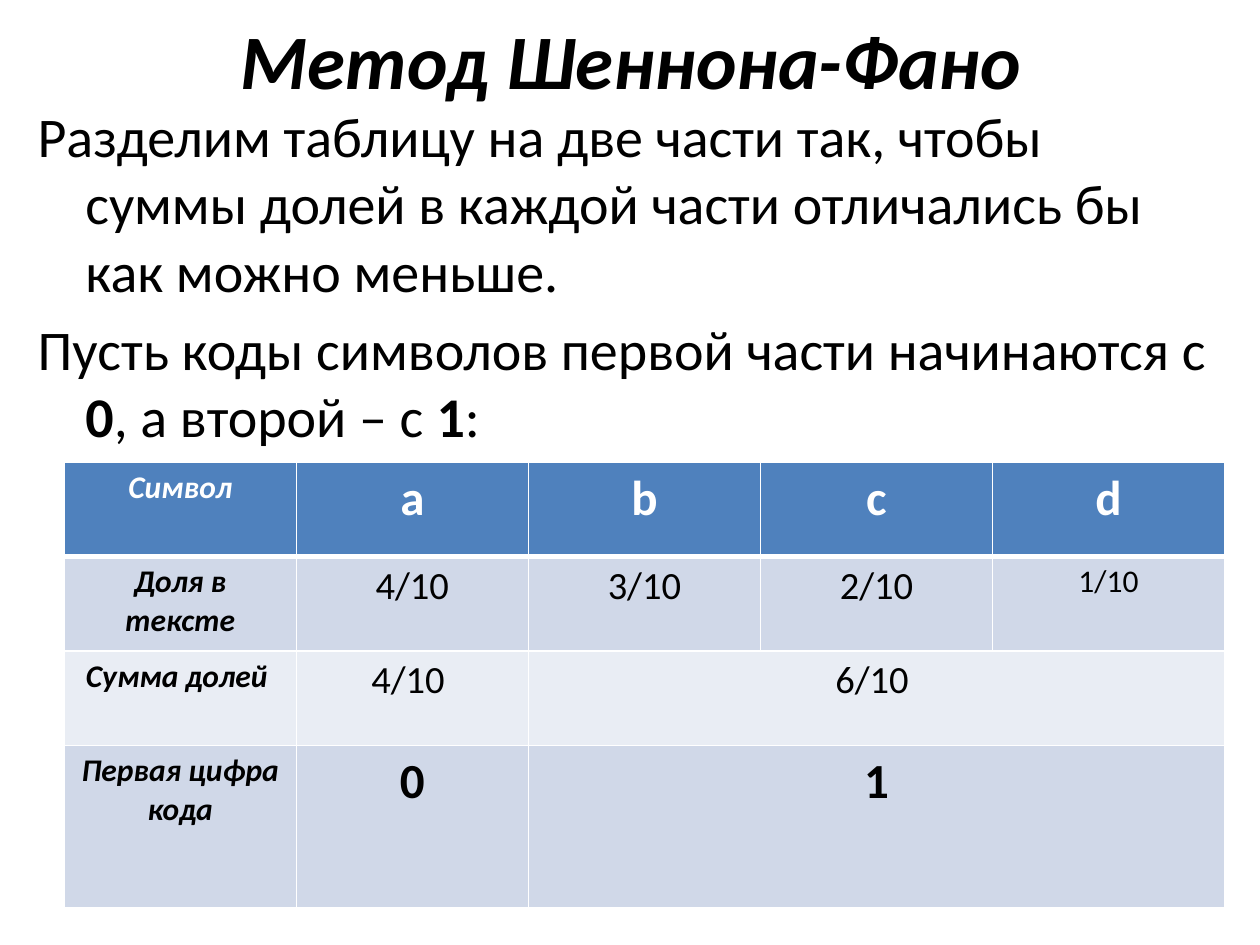
from dataclasses import dataclass
from typing import Optional

from lxml import etree
from pptx import Presentation
from pptx.dml.color import RGBColor
from pptx.oxml.ns import qn
from pptx.util import Inches, Pt
from pptx.enum import text

W, H = 10, 7.5
FONT = "Calibri"
BLACK, WHITE = "000000", "FFFFFF"
BLUE, MID, PALE = "4F81BD", "D0D8E8", "E9EDF4"


@dataclass(frozen=True)
class Run:
    words: str
    size: float
    bold: bool = False
    italic: bool = False
    color: str = BLACK


@dataclass(frozen=True)
class Box:
    left: float
    top: float
    width: float
    height: float

    def place(self) -> tuple:
        return (Inches(W * self.left), Inches(H * self.top),
                Inches(W * self.width), Inches(H * self.height))


@dataclass(frozen=True)
class Row:
    height: float
    fill: str
    cells: tuple[Run, ...]
    merge_from: Optional[int] = None
    bottom: float = 1


def rgb(value: str) -> RGBColor:
    return RGBColor.from_string(value)


def add_runs(p, runs: tuple[Run, ...]) -> None:
    for run in runs:
        r = p.add_run()
        r.text = run.words
        f = r.font
        f.name, f.size = FONT, Pt(run.size)
        f.bold, f.italic = run.bold, run.italic
        f.color.rgb = rgb(run.color)


def add_text(s, box: Box, paragraphs: tuple, align, anchor, hanging: float = 0) -> None:
    tf = s.shapes.add_textbox(*box.place()).text_frame
    tf.word_wrap = True
    tf.vertical_anchor = anchor
    for i, runs in enumerate(paragraphs):
        p = tf.add_paragraph() if i else tf.paragraphs[0]
        p.alignment = align
        if hanging:
            ppr = p._p.get_or_add_pPr()
            ppr.set("marL", str(Inches(hanging)))
            ppr.set("indent", str(-Inches(hanging)))
        if i:
            p.space_before = Pt(runs[0].size * 0.2)
        add_runs(p, runs)


def set_borders(cell, widths: dict[str, float]) -> None:
    tcpr = cell._tc.get_or_add_tcPr()
    for i, (side, width) in enumerate(widths.items()):
        ln = etree.Element(qn(f"a:ln{side}"), w=str(Pt(width)))
        fill = etree.SubElement(ln, qn("a:solidFill"))
        etree.SubElement(fill, qn("a:srgbClr"), val=WHITE)
        tcpr.insert(i, ln)


def add_grid(s, box: Box, rows: tuple[Row, ...], columns: int) -> None:
    table = s.shapes.add_table(len(rows), columns, *box.place()).table
    for column in table.columns:
        column.width = Inches(W * box.width / columns)
    top = 1
    for i, row in enumerate(rows):
        table.rows[i].height = Inches(row.height)
        for j in range(columns):
            cell = table.cell(i, j)
            cell.fill.solid()
            cell.fill.fore_color.rgb = rgb(row.fill)
            set_borders(cell, {"L": 1, "R": 1, "T": top, "B": row.bottom})
        if row.merge_from is not None:
            table.cell(i, row.merge_from).merge(table.cell(i, columns - 1))
        for j, run in enumerate(row.cells):
            p = table.cell(i, j).text_frame.paragraphs[0]
            p.alignment = text.PP_ALIGN.CENTER
            add_runs(p, (run,))
        top = row.bottom


def label(words: str, color: str = BLACK) -> Run:
    return Run(words, 18, True, True, color)


def main() -> None:
    prs = Presentation()
    prs.slide_width, prs.slide_height = Inches(W), Inches(H)
    s = prs.slides.add_slide(prs.slide_layouts[6])

    title = ((Run("Метод Шеннона-Фано", 44, True, True),),)
    body = (
        (Run("Разделим таблицу на две части так, чтобы суммы долей в каждой "
             "части отличались бы как можно меньше.", 32),),
        (Run("Пусть коды символов первой части начинаются с ", 32),
         Run("0", 32, True), Run(", а второй – с ", 32),
         Run("1", 32, True), Run(": ", 32)),
    )
    rows = (
        Row(0.75, BLUE, (label("Символ", WHITE),
                         *(Run(c, 28, True, color=WHITE) for c in "abcd")), bottom=3),
        Row(0.75, MID, (label("Доля в тексте"),
                        *(Run(f"{n}/10", 22) for n in (4, 3, 2)), Run("1/10", 18))),
        Row(0.75, PALE, (label("Сумма долей "), Run("4/10 ", 22), Run("6/10 ", 22)), 2),
        Row(1.29, MID, (label("Первая цифра кода"), Run("0", 28, True),
                        Run("1", 28, True)), 2),
    )

    add_text(s, Box(0.051, 0, 0.9, 0.124), title,
             text.PP_ALIGN.CENTER, text.MSO_ANCHOR.MIDDLE)
    add_text(s, Box(0.02, 0.101, 0.953, 0.861), body,
             text.PP_ALIGN.LEFT, text.MSO_ANCHOR.TOP, hanging=0.38)
    add_grid(s, Box(0.051, 0.489, 0.921, 0.472), rows, 5)
    prs.save("out.pptx")


if __name__ == "__main__":
    main()
